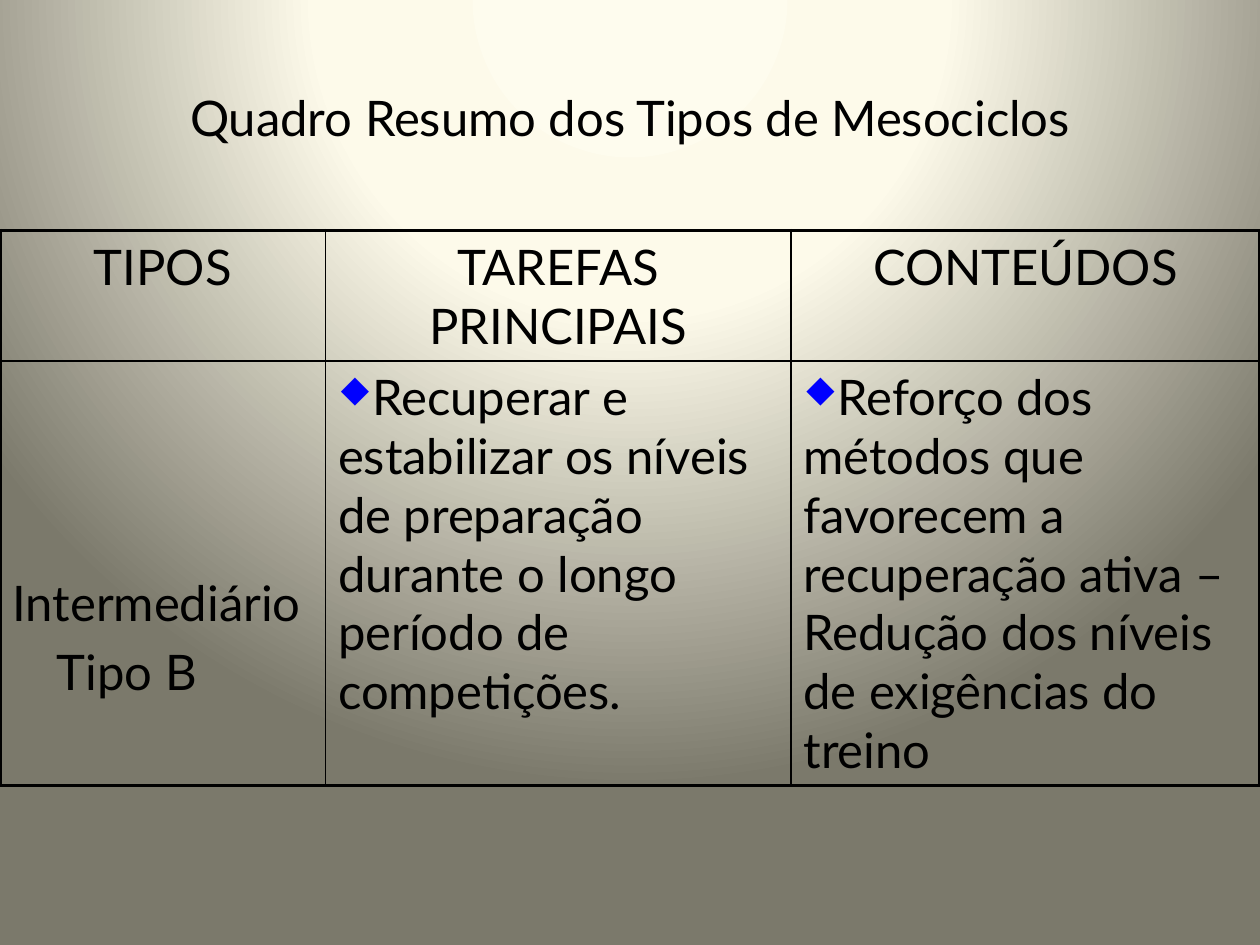
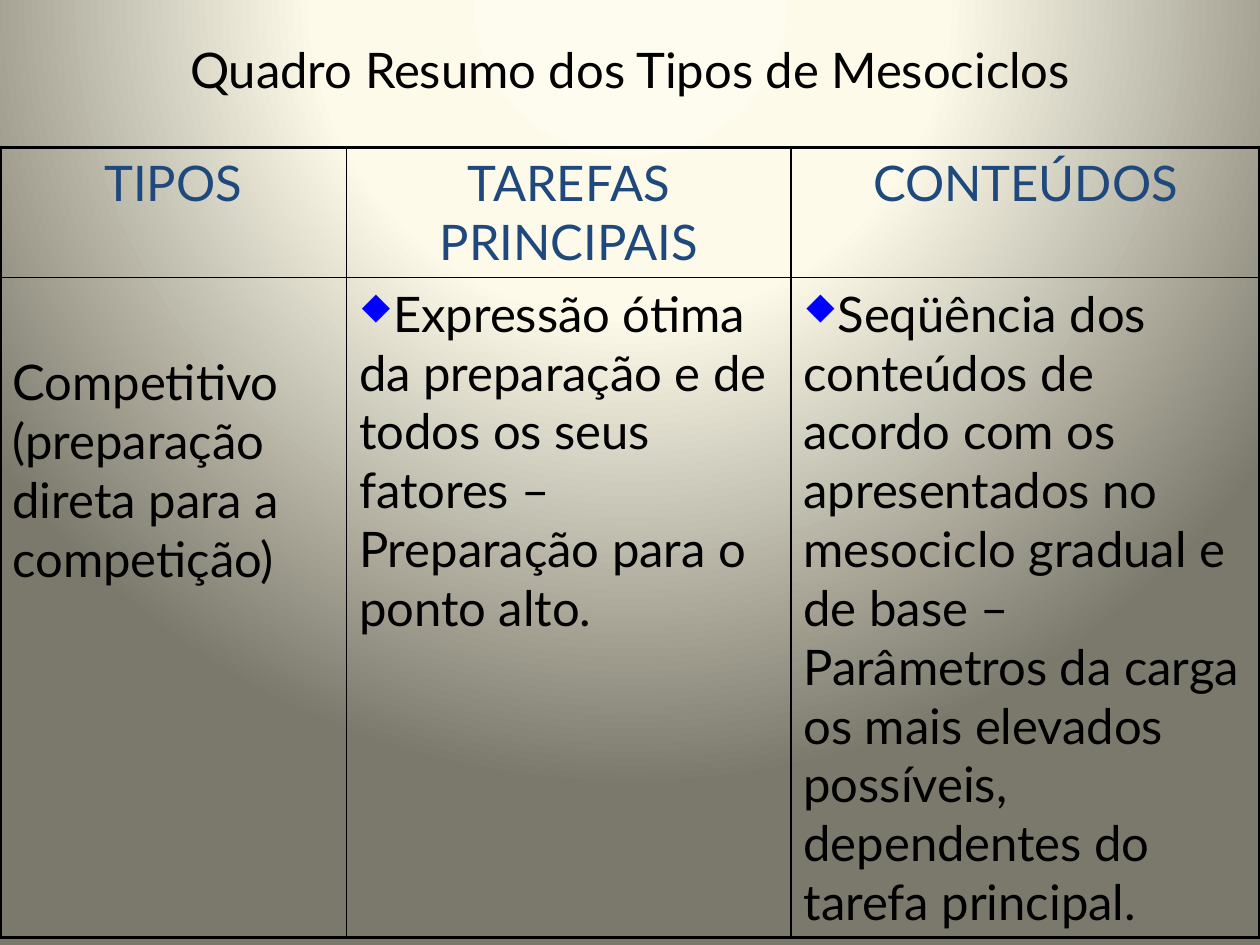
"""Build two summary slides on the types of training mesocycles."""
from dataclasses import dataclass
from typing import Any

from pptx import Presentation, oxml
from pptx.dml import color as clr
from pptx.enum import text as txt
from pptx.oxml import ns
from pptx.util import Pt

HUES = {"ink": "000000", "head": "1F497D", "mark": "0000FF",
        "glow": "FEFCEE", "cream": "FDFAEA", "shade": "7B796B"}
STOPS = ((0, "glow"), (40, "cream"), (100, "shade"))
TITLE = "Quadro Resumo dos Tipos de Mesociclos"
HEADS = ("TIPOS", "TAREFAS PRINCIPAIS", "CONTEÚDOS")
FONT = {"name": "Lato", "size": Pt(28), "bold": False}
WIDE, TALL = 720, 540
LINE, PAD, GAP = 33.6, 3.6, 6
THICK, THIN = 2.25, 1
MID = txt.PP_ALIGN.CENTER
LEFT = txt.PP_ALIGN.LEFT


@dataclass
class Line:
    """One paragraph of a cell."""
    words: str
    hue: str = "ink"
    align: Any = LEFT
    inset: float = 0
    mark: bool = False


@dataclass
class Page:
    """What differs from slide to slide."""
    top: float
    grid: float
    cols: tuple[float, ...]
    rows: int
    drop: float
    hue: str
    kind: tuple[Line, ...]
    task: str
    load: str


PAGES = (
    Page(21.6, 131.8, (186, 266, 268), 7, 117.6, "ink",
         (Line("Intermediário"), Line("Tipo B", inset=25.3)),
         "Recuperar e estabilizar os níveis de preparação durante o longo "
         "período de competições.",
         "Reforço dos métodos que favorecem a recuperação ativa – Redução "
         "dos níveis de exigências do treino"),
    Page(-5.8, 84.2, (198, 254, 268), 11, 39.2, "head",
         (Line("Competitivo (preparação direta para a competição)"),),
         "Expressão ótima da preparação e de todos os seus fatores – "
         "Preparação para o ponto alto.",
         "Seqüência dos conteúdos de acordo com os apresentados no mesociclo "
         "gradual e de base – Parâmetros da carga os mais elevados "
         "possíveis, dependentes do tarefa principal."),
)


def put(thing: Any, vals: dict[str, Any]) -> None:
    """Set each named attribute of a thing."""
    for name, val in vals.items():
        setattr(thing, name, val)


def node(tag: str, body: str = "", **attrs: Any) -> Any:
    """Make one drawing element."""
    more = "".join(f' {key}="{val}"' for key, val in attrs.items())
    return oxml.parse_xml(
        f'<{tag} {ns.nsdecls("a", "p")}{more}>{body}</{tag}>')


def tint(hue: str) -> str:
    """Give the markup of a named colour."""
    return f'<a:srgbClr val="{HUES[hue]}"/>'


def paint(deck: Any) -> None:
    """Give the master its round gradient."""
    stops = "".join(f'<a:gs pos="{at * 1000}">{tint(hue)}</a:gs>'
                    for at, hue in STOPS)
    body = (f'<p:bgPr><a:gradFill><a:gsLst>{stops}</a:gsLst>'
            '<a:path path="circle"><a:fillToRect l="50000" t="-80000" '
            'r="50000" b="180000"/></a:path></a:gradFill>'
            '<a:effectLst/></p:bgPr>')
    root = deck.slide_master.element.cSld
    old = root.find(ns.qn("p:bg"))
    if old is not None:
        root.remove(old)
    root.insert(0, node("p:bg", body))


def write(para: Any, line: Line) -> None:
    """Fill and format one paragraph."""
    run = para.add_run()
    run.text = line.words
    put(run.font, FONT)
    run.font.color.rgb = clr.RGBColor.from_string(HUES[line.hue])
    put(para, {"alignment": line.align, "space_before": Pt(GAP)})
    props = para._p.get_or_add_pPr()
    props.set("marL", str(Pt(line.inset)))
    props.set("indent", "0")
    if line.mark:
        props.append(node("a:buClr", tint("mark")))
        props.append(node("a:buSzPct", val=70000))
        props.append(node("a:buFont", typeface="Wingdings"))
        props.append(node("a:buChar", char="u"))
    else:
        props.append(node("a:buNone"))


def edge(cell: Any, sides: dict[str, bool]) -> None:
    """Draw cell borders, thick on the outer sides."""
    props = cell._tc.get_or_add_tcPr()
    for spot, (side, outer) in enumerate(sides.items()):
        body = f'<a:solidFill>{tint("ink")}</a:solidFill>'
        props.insert(spot, node(f"a:ln{side}", body,
                                w=Pt(THICK if outer else THIN)))


def table(slide: Any, page: Page) -> None:
    """Draw the summary table."""
    highs = [count * LINE + 2 * PAD for count in (2, page.rows)]
    grid = slide.shapes.add_table(
        2, 3, Pt(0), Pt(page.grid), Pt(WIDE), Pt(sum(highs))).table
    put(grid, {"first_row": False, "horz_banding": False})
    for col, width in zip(grid.columns, page.cols):
        col.width = Pt(width)
    for row, high in zip(grid.rows, highs):
        row.height = Pt(high)
    heads = [(Line(word, page.hue, MID),) for word in HEADS]
    body = [page.kind, (Line(page.task, mark=True),),
            (Line(page.load, mark=True),)]
    for y, row in enumerate((heads, body)):
        for x, lines in enumerate(row):
            cell = grid.cell(y, x)
            drop = page.drop if (y, x) == (1, 0) else 0
            put(cell, {"margin_left": Pt(7.2), "margin_right": Pt(7.2),
                       "margin_top": Pt(PAD + drop),
                       "margin_bottom": Pt(PAD),
                       "vertical_anchor": txt.MSO_ANCHOR.TOP})
            cell.fill.background()
            edge(cell, {"L": x == 0, "R": x == 2, "T": y == 0, "B": y == 1})
            frame = cell.text_frame
            for spot, line in enumerate(lines):
                para = frame.add_paragraph() if spot else frame.paragraphs[0]
                write(para, line)


def build(deck: Any, page: Page) -> None:
    """Add one slide with its title and table."""
    slide = deck.slides.add_slide(deck.slide_layouts[5])
    title = slide.shapes.title
    put(title, {"left": Pt(36), "top": Pt(page.top),
                "width": Pt(WIDE - 72), "height": Pt(90)})
    put(title.text_frame, {"vertical_anchor": txt.MSO_ANCHOR.MIDDLE,
                           "word_wrap": True})
    write(title.text_frame.paragraphs[0], Line(TITLE, align=MID))
    table(slide, page)


def main() -> None:
    """Build and save the deck."""
    deck = Presentation()
    put(deck, {"slide_width": Pt(WIDE), "slide_height": Pt(TALL)})
    paint(deck)
    for page in PAGES:
        build(deck, page)
    deck.save("out.pptx")


main()
